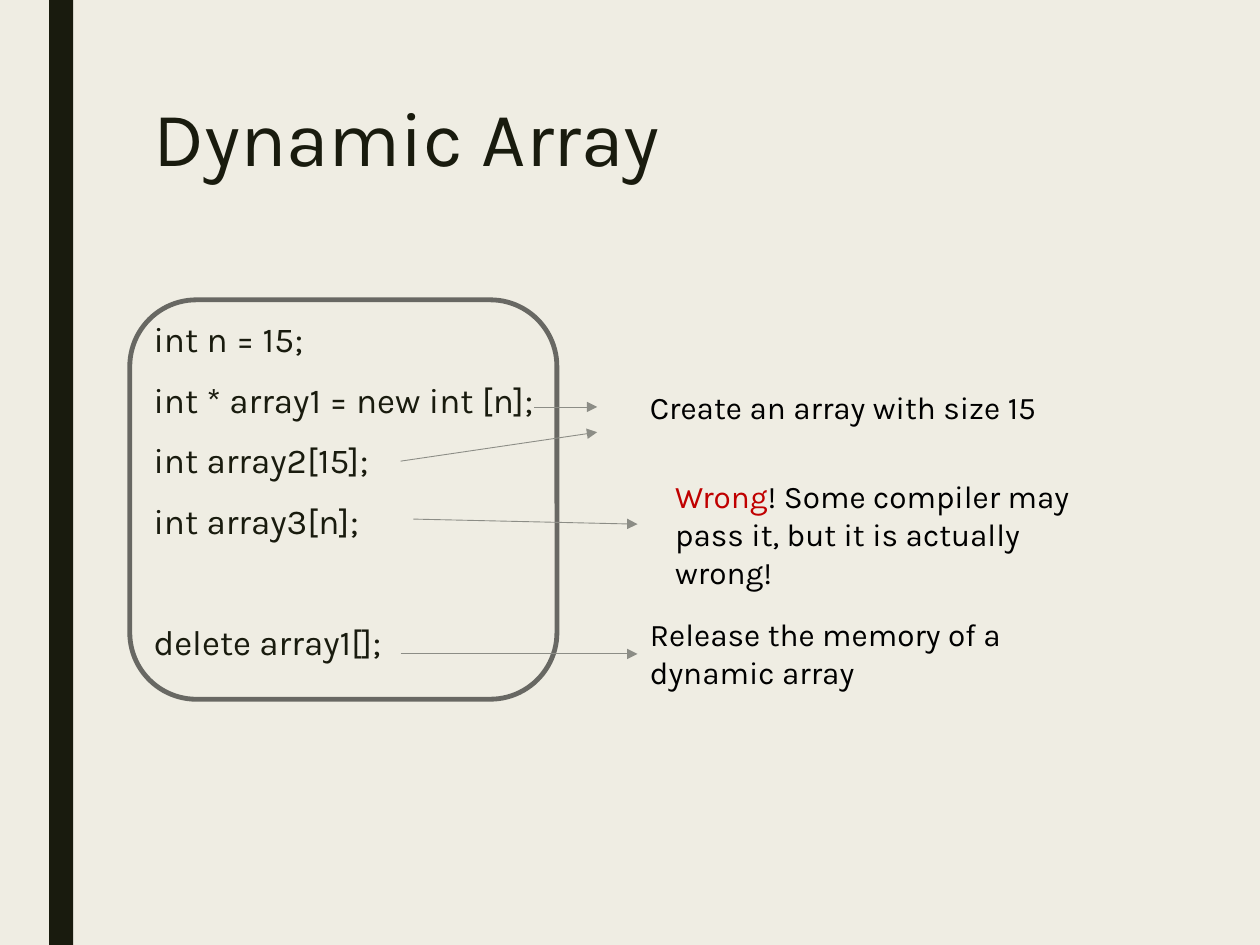
from dataclasses import dataclass

from lxml.etree import SubElement
from pptx import Presentation
from pptx.dml.color import RGBColor
from pptx.enum.shapes import MSO_CONNECTOR, MSO_SHAPE
from pptx.oxml.ns import qn
from pptx.util import Inches, Pt


@dataclass(frozen=True)
class Theme:
    font: str = "Karla"
    background: str = "EFEDE3"
    dark: str = "191B0E"
    black: str = "000000"
    warning: str = "C00000"
    frame: str = "686863"
    arrow: str = "8C8D86"
    title_size: int = 44
    code_size: int = 20
    note_size: int = 18


class SlideBuilder:
    """Draws themed elements on one slide."""

    def __init__(self, slide, theme):
        self.slide = slide
        self.theme = theme
        fill = slide.background.fill
        fill.solid()
        fill.fore_color.rgb = RGBColor.from_string(theme.background)

    def bar(self, *box):
        shape = self.slide.shapes.add_shape(MSO_SHAPE.RECTANGLE, *map(Inches, box))
        shape.shadow.inherit = False
        shape.fill.solid()
        shape.fill.fore_color.rgb = RGBColor.from_string(self.theme.dark)
        shape.line.fill.background()

    def frame(self, *box):
        shape = self.slide.shapes.add_shape(MSO_SHAPE.ROUNDED_RECTANGLE, *map(Inches, box))
        shape.shadow.inherit = False
        shape.fill.background()
        shape.line.color.rgb = RGBColor.from_string(self.theme.frame)
        shape.line.width = Pt(2.75)

    def text_frame(self, box):
        text_frame = self.slide.shapes.add_textbox(*map(Inches, box)).text_frame
        text_frame.word_wrap = True
        return text_frame

    def style(self, paragraph, size, color):
        paragraph.font.name = self.theme.font
        paragraph.font.size = Pt(size)
        paragraph.font.color.rgb = RGBColor.from_string(color)

    def title(self, text, *box):
        paragraph = self.text_frame(box).paragraphs[0]
        paragraph.text = text
        paragraph.line_spacing = 0.89
        self.style(paragraph, self.theme.title_size, self.theme.dark)

    def code(self, lines, *box):
        text_frame = self.text_frame(box)
        for index, (text, space_before) in enumerate(lines):
            paragraph = text_frame.add_paragraph() if index else text_frame.paragraphs[0]
            paragraph.text = text
            paragraph.line_spacing = 0.94
            paragraph.space_before = Pt(space_before)
            paragraph.space_after = Pt(2)
            self.style(paragraph, self.theme.code_size, self.theme.dark)

    def note(self, text, *box, warning=""):
        paragraph = self.text_frame(box).paragraphs[0]
        for words, color in ((warning, self.theme.warning), (text, self.theme.black)):
            if words:
                run = paragraph.add_run()
                run.text = words
                run.font.color.rgb = RGBColor.from_string(color)
        paragraph.font.name = self.theme.font
        paragraph.font.size = Pt(self.theme.note_size)

    def arrow(self, *ends):
        connector = self.slide.shapes.add_connector(MSO_CONNECTOR.STRAIGHT, *map(Inches, ends))
        connector.line.color.rgb = RGBColor.from_string(self.theme.arrow)
        connector.line.width = Pt(0.5)
        properties = connector.element.spPr
        SubElement(properties.find(qn("a:ln")), qn("a:tailEnd"), type="triangle")
        SubElement(properties, qn("a:effectLst"))


def main():
    presentation = Presentation()
    presentation.slide_width = Inches(10)
    presentation.slide_height = Inches(7.5)
    slide = presentation.slides.add_slide(presentation.slide_layouts[6])
    builder = SlideBuilder(slide, Theme())

    builder.bar(0.39, 0, 0.19, 7.5)
    builder.title("Dynamic Array", 1.12, 0.75, 7.88, 1.62)
    code_lines = [
        ("int n = 15;", 0),
        ("int * array1 = new int [n];", 10),
        ("int array2[15];", 10),
        ("int array3[n];", 10),
        ("delete array1[];", 44.5),
    ]
    builder.code(code_lines, 1.12, 2.5, 3.61, 3.17)
    builder.frame(1.03, 2.38, 3.39, 3.17)

    builder.note("Create an array with size 15", 5.06, 3.03, 3.36, 0.4)
    builder.note("! Some compiler may pass it, but it is actually wrong!",
                 5.26, 3.74, 3.51, 0.71, warning="Wrong")
    builder.note("Release the memory of a dynamic array", 5.06, 4.83, 3.38, 0.71)

    for ends in (
        (4.24, 3.23, 4.74, 3.23),
        (3.18, 3.66, 4.74, 3.43),
        (3.28, 4.12, 5.06, 4.16),
        (3.18, 5.19, 5.06, 5.19),
    ):
        builder.arrow(*ends)

    presentation.save("out.pptx")


if __name__ == "__main__":
    main()
